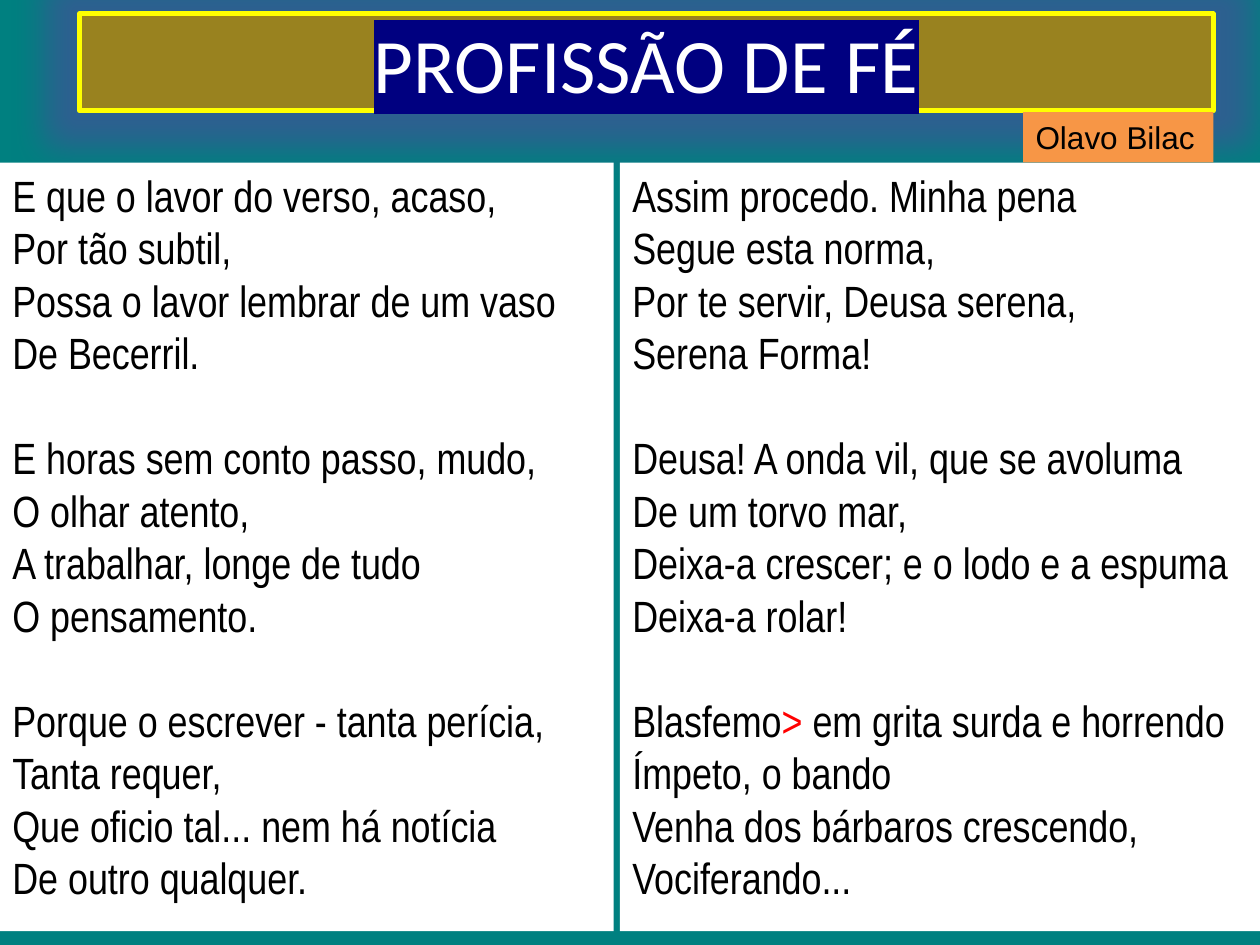
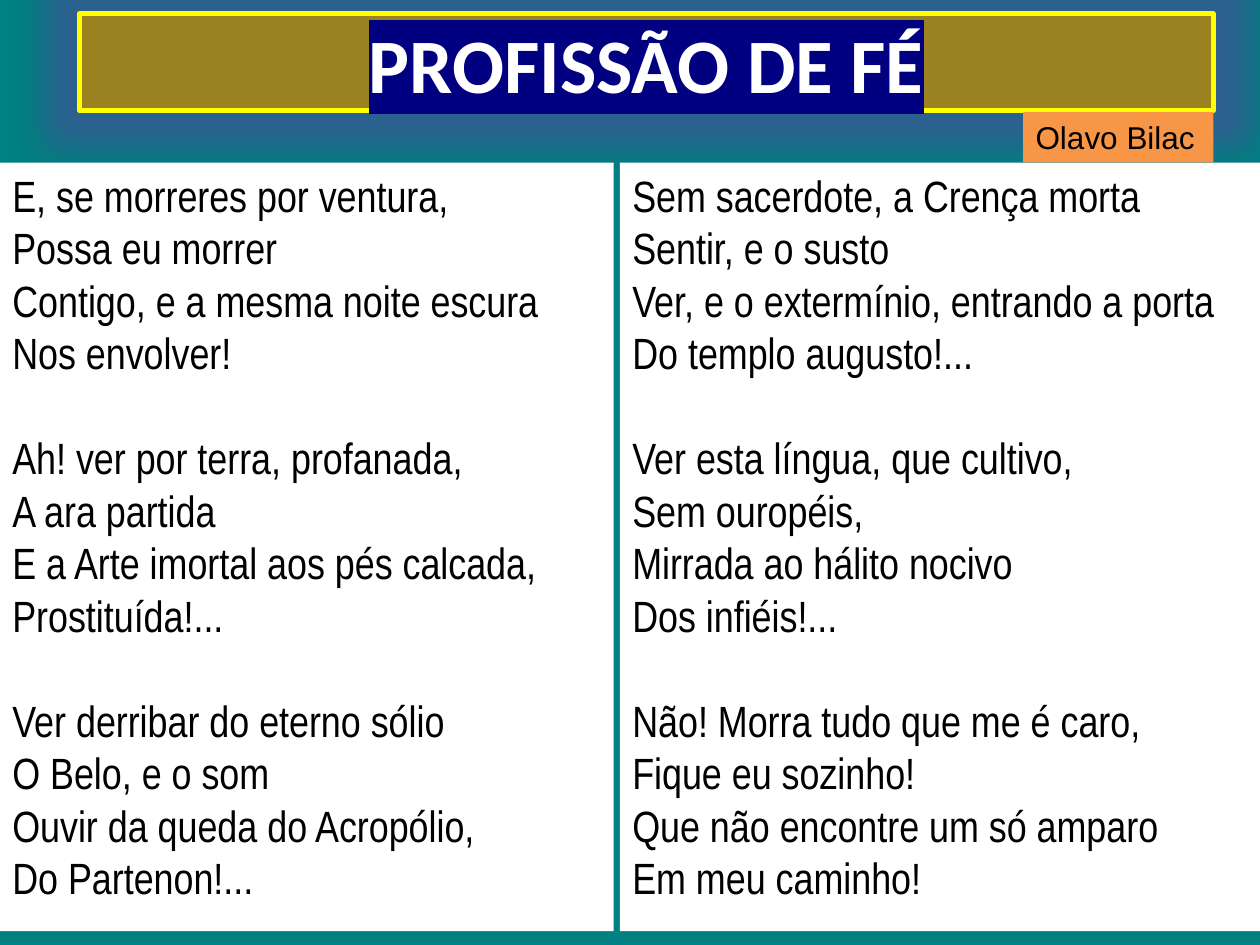
from lxml.etree import SubElement as Sub, Element
from pptx import Presentation as Deck
from pptx.dml.color import RGBColor as Rgb
from pptx.enum.text import MSO_ANCHOR as Anchor, MSO_AUTO_SIZE as Auto, PP_ALIGN as Align
from pptx.oxml.ns import qn
from pptx.util import Emu, Inches, Pt

WIDE, HIGH = Inches(10), Inches(7.5)
HUES = {
    "page": "008080", "band": "B88C00", "edge": "FFFF00", "glow": "2D6090",
    "mark": "000080", "paper": "FFFFFF", "ink": "000000", "red": "FF0000",
    "tag": "F79646",
}
TITLE = "PROFISSÃO DE FÉ"
AUTHOR = "Olavo Bilac"
BAND = (6.3, 1.47, 90, 10.27)
BADGE = (81.2, 11.87, 15.1, 5.33)
PAGES = ((0, 17.2, 48.7, 81.33), (49.2, 17.2, 50.8, 81.33))

POEMS = [
    (False, (
        ("""E que o lavor do verso, acaso,
Por tão subtil,
Possa o lavor lembrar de um vaso
De Becerril.""", """E horas sem conto passo, mudo,
O olhar atento,
A trabalhar, longe de tudo
O pensamento.""", """Porque o escrever - tanta perícia,
Tanta requer,
Que oficio tal... nem há notícia
De outro qualquer."""),
        ("""Assim procedo. Minha pena
Segue esta norma,
Por te servir, Deusa serena,
Serena Forma!""", """Deusa! A onda vil, que se avoluma
De um torvo mar,
Deixa-a crescer; e o lodo e a espuma
Deixa-a rolar!""", """Blasfemo> em grita surda e horrendo
Ímpeto, o bando
Venha dos bárbaros crescendo,
Vociferando..."""),
    )),
    (True, (
        ("""E, se morreres por ventura,
Possa eu morrer
Contigo, e a mesma noite escura
Nos envolver!""", """Ah! ver por terra, profanada,
A ara partida
E a Arte imortal aos pés calcada,
Prostituída!...""", """Ver derribar do eterno sólio
O Belo, e o som
Ouvir da queda do Acropólio,
Do Partenon!..."""),
        ("""Sem sacerdote, a Crença morta
Sentir, e o susto
Ver, e o extermínio, entrando a porta
Do templo augusto!...""", """Ver esta língua, que cultivo,
Sem ouropéis,
Mirrada ao hálito nocivo
Dos infiéis!...""", """Não! Morra tudo que me é caro,
Fique eu sozinho!
Que não encontre um só amparo
Em meu caminho!"""),
    )),
]


def hue(name):
    return Rgb.from_string(HUES[name])


def area(share):
    return [Emu(round(part * side / 100))
            for part, side in zip(share, (WIDE, HIGH, WIDE, HIGH))]


def paint(shape, name):
    shape.fill.solid()
    shape.fill.fore_color.rgb = hue(name)


def tint(node, name):
    return Sub(node, qn("a:srgbClr"), val=HUES[name])


def write(para, words, size, font, color="ink", bold=False, align=Align.LEFT,
          mark=None, lead=None, before=0):
    para.alignment = align
    para.space_before = Pt(before)
    if lead:
        para.line_spacing = Pt(lead)
    start, sign, rest = words.partition(">")
    for part, shade in ((start, color), (sign, "red"), (rest, color)):
        if not part:
            continue
        run = para.add_run()
        run.text = part
        run.font.size, run.font.name, run.font.bold = Pt(size), font, bold
        run.font.color.rgb = hue(shade)
        if mark:
            light = Element(qn("a:highlight"))
            tint(light, mark)
            run._r.rPr.find(qn("a:solidFill")).addnext(light)


def head(slide, bold):
    title = slide.shapes.title
    title.left, title.top, title.width, title.height = area(BAND)
    paint(title, "band")
    fill = title._element.spPr.find(qn("a:solidFill"))
    Sub(fill[0], qn("a:alpha"), val="78000")
    title.line.color.rgb = hue("edge")
    title.line.width = Pt(2.75)
    Sub(title.line._ln, qn("a:round"))
    effect = Sub(title._element.spPr, qn("a:effectLst"))
    tint(Sub(effect, qn("a:glow"), rad=str(Inches(0.55))), "glow")
    frame = title.text_frame
    frame.auto_size = Auto.NONE
    frame.vertical_anchor = Anchor.MIDDLE
    write(frame.paragraphs[0], TITLE, 44, "Calibri", color="paper", bold=bold,
          align=Align.CENTER, mark="mark")


def panel(slide, share, color):
    box = slide.shapes.add_textbox(*area(share))
    paint(box, color)
    box.text_frame.word_wrap = True
    return box.text_frame


def verse(slide, share, stanzas):
    frame = panel(slide, share, "paper")
    for order, stanza in enumerate(stanzas):
        for row, line in enumerate(stanza.splitlines()):
            first = order == row == 0
            para = frame.paragraphs[0] if first else frame.add_paragraph()
            gap = 30 if order and row == 0 else 0
            write(para, line, 25, "Arial Narrow", lead=30, before=gap)


def badge(slide):
    frame = panel(slide, BADGE, "tag")
    write(frame.paragraphs[0], AUTHOR, 18, "Arial")


def main():
    deck = Deck()
    deck.slide_width, deck.slide_height = WIDE, HIGH
    back = deck.slide_master.background.fill
    back.solid()
    back.fore_color.rgb = hue("page")
    for bold, halves in POEMS:
        slide = deck.slides.add_slide(deck.slide_layouts[5])
        head(slide, bold)
        for share, stanzas in zip(PAGES, halves):
            verse(slide, share, stanzas)
        badge(slide)
    deck.save("out.pptx")


if __name__ == "__main__":
    main()
